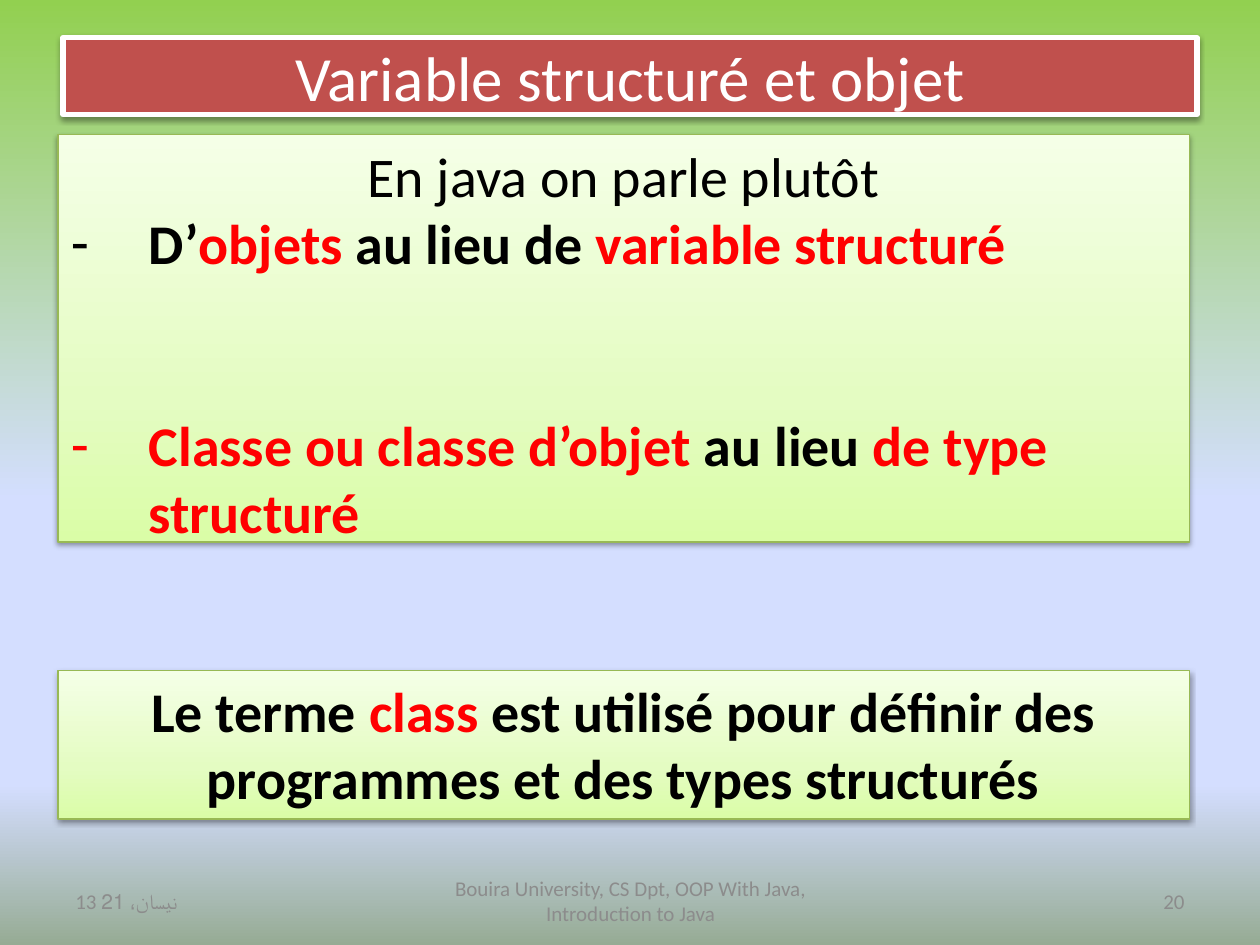
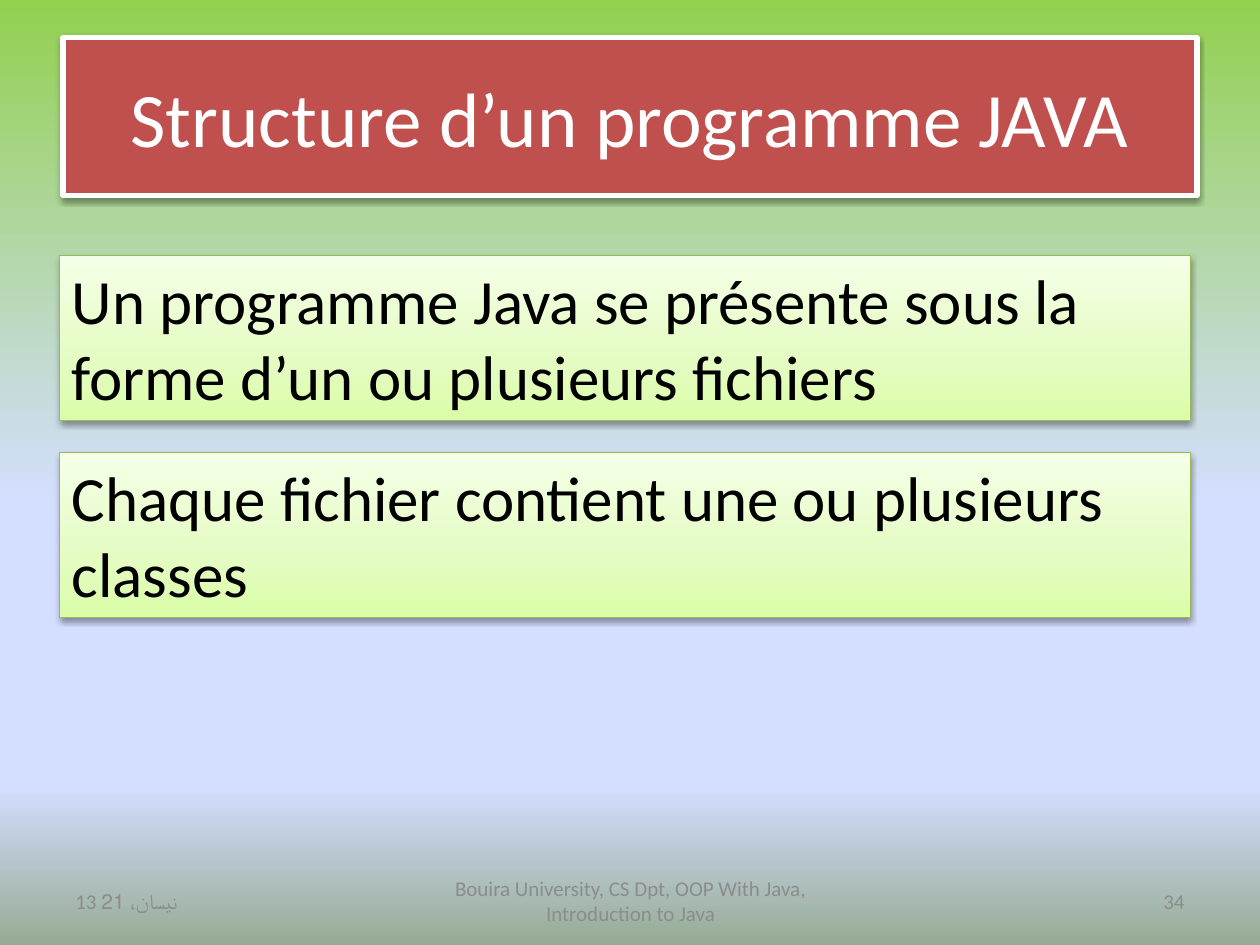
"""Build two slides of a Java course on objects and program structure."""
from dataclasses import dataclass

from lxml.etree import SubElement
from pptx import Presentation
from pptx.dml.color import RGBColor
from pptx.enum.shapes import MSO_SHAPE as Preset
from pptx.enum.text import MSO_ANCHOR as Anchor, MSO_AUTO_SIZE as AutoSize, PP_ALIGN as Align
from pptx.oxml.ns import qn
from pptx.util import Inches, Pt


@dataclass(frozen=True)
class Theme:
    font: str = "Calibri"
    ink: str = "000000"
    accent: str = "FF0000"
    banner: str = "C0504D"
    banner_ink: str = "FFFFFF"
    card_edge: str = "98B955"
    footer_ink: str = "8C8C8C"
    backdrop: tuple = ((0, "92D050"), (53, "D4DEFF"), (83, "D4DEFF"), (100, "96AB94"))
    card_fill: tuple = ((0, "DAFDA7"), (35, "E4FCC2"), (100, "F5FFE7"))
    title_size: int = 44
    small_title_size: int = 36
    text_size: int = 36
    list_size: int = 32
    footer_size: int = 12


class Deck:
    def __init__(self, theme):
        self.theme = theme
        self.prs = Presentation()
        self.prs.slide_width, self.prs.slide_height = Inches(10), Inches(7.5)
        self.slide = None
        master = self.prs.slide_master
        self.gradient(master.background.fill, master.element, theme.backdrop, 90)

    def gradient(self, fill, element, stops, angle):
        fill.gradient()
        grad = element.find(".//" + qn("a:gradFill"))
        stop_list = grad.find(qn("a:gsLst"))
        for stop in list(stop_list):
            stop_list.remove(stop)
        for position, color in stops:
            stop = SubElement(stop_list, qn("a:gs"), pos=str(position * 1000))
            SubElement(stop, qn("a:srgbClr"), val=color)
        grad.find(qn("a:lin")).set("ang", str(angle * 60000))

    def frame(self, shape, box, edge, width):
        shape.left, shape.top, shape.width, shape.height = map(Inches, box)
        shape.line.color.rgb = RGBColor.from_string(edge)
        shape.line.width = Pt(width)
        shape.shadow.inherit = False
        effects = shape.element.spPr.find(qn("a:effectLst"))
        shadow = SubElement(effects, qn("a:outerShdw"), blurRad=str(Pt(3.1)),
                            dist=str(Pt(1.6)), dir="5400000", rotWithShape="0")
        color = SubElement(shadow, qn("a:srgbClr"), val="000000")
        SubElement(color, qn("a:alpha"), val="38000")

    def style(self, run, size, color, bold=False):
        run.font.name = self.theme.font
        run.font.size = Pt(size)
        run.font.bold = bold
        run.font.color.rgb = RGBColor.from_string(color)

    def compose(self, paragraph, marked, size, align=Align.LEFT, bold=False, dash=False, gap=0):
        """Fill a paragraph whose starred parts take the accent colour."""
        props = paragraph._p.get_or_add_pPr()
        indent = Inches(0.62) if dash else 0
        props.set("marL", str(indent))
        props.set("indent", str(-indent))
        if dash:
            SubElement(props, qn("a:buFontTx"))
            SubElement(props, qn("a:buChar"), char="-")
        else:
            SubElement(props, qn("a:buNone"))
        paragraph.alignment = align
        paragraph.space_before = Pt(gap)
        for index, part in enumerate(marked.split("*")):
            if part:
                run = paragraph.add_run()
                run.text = part
                self.style(run, size, self.theme.accent if index % 2 else self.theme.ink, bold)

    def start(self, layout, title, height, size, number):
        self.slide = self.prs.slides.add_slide(self.prs.slide_layouts[layout])
        banner = self.slide.shapes.title
        self.frame(banner, (0.5, 0.3, 9, height), self.theme.banner_ink, 3)
        banner.fill.solid()
        banner.fill.fore_color.rgb = RGBColor.from_string(self.theme.banner)
        text = banner.text_frame
        text.text = title
        text.auto_size = AutoSize.NONE
        text.vertical_anchor = Anchor.MIDDLE
        text.paragraphs[0].alignment = Align.CENTER
        self.style(text.paragraphs[0].runs[0], size, self.theme.banner_ink)
        self.footer("13 نيسان، 21", 0.5, 2.33, Align.LEFT)
        self.footer("Bouira University, CS Dpt, OOP With Java, Introduction to Java",
                    3.42, 3.17, Align.CENTER)
        self.footer(str(number), 7.17, 2.33, Align.RIGHT)

    def footer(self, wording, left, width, align):
        note = self.slide.shapes.add_textbox(Inches(left), Inches(6.95), Inches(width), Inches(0.4))
        text = note.text_frame
        text.word_wrap = True
        text.vertical_anchor = Anchor.MIDDLE
        text.text = wording
        text.paragraphs[0].alignment = align
        self.style(text.paragraphs[0].runs[0], self.theme.footer_size, self.theme.footer_ink)

    def card(self, box, size, *lines, holder=None):
        """Fill the given placeholder, or a new rectangle, with a gradient and lines."""
        panel = holder or self.slide.shapes.add_shape(Preset.RECTANGLE, *map(Inches, box))
        self.frame(panel, box, self.theme.card_edge, 0.75)
        self.gradient(panel.fill, panel.element, self.theme.card_fill, 270)
        text = panel.text_frame
        text.word_wrap = True
        text.auto_size = AutoSize.SHAPE_TO_FIT_TEXT
        text.vertical_anchor = Anchor.TOP
        for index, (marked, options) in enumerate(lines):
            paragraph = text.add_paragraph() if index else text.paragraphs[0]
            self.compose(paragraph, marked, size, **options)


def main():
    theme = Theme()
    deck = Deck(theme)

    deck.start(1, "Variable structuré et objet", 0.61, theme.small_title_size, 20)
    item = {"bold": True, "dash": True}
    deck.card((0.46, 1.07, 8.98, 3.33), theme.list_size,
              ("En java on parle plutôt", {"align": Align.CENTER}),
              ("D’*objets* au lieu de *variable structuré*", item),
              ("*Classe ou classe d’objet *au lieu *de type structuré*", {**item, "gap": 77}),
              holder=deck.slide.placeholders[1])
    deck.card((0.46, 5.32, 8.98, 1.18), theme.list_size,
              ("Le terme *class* est utilisé pour définir des programmes et des types structurés",
               {"align": Align.CENTER, "bold": True}))

    deck.start(5, "Structure d’un programme JAVA", 1.25, theme.title_size, 34)
    statements = ("Un programme Java se présente sous la forme d’un ou plusieurs fichiers",
                  "Chaque fichier contient une ou plusieurs classes")
    for row, statement in enumerate(statements):
        deck.card((0.47, 2.03 + row * 1.56, 8.98, 1.31), theme.text_size, (statement, {}))

    deck.prs.save("out.pptx")


if __name__ == "__main__":
    main()
